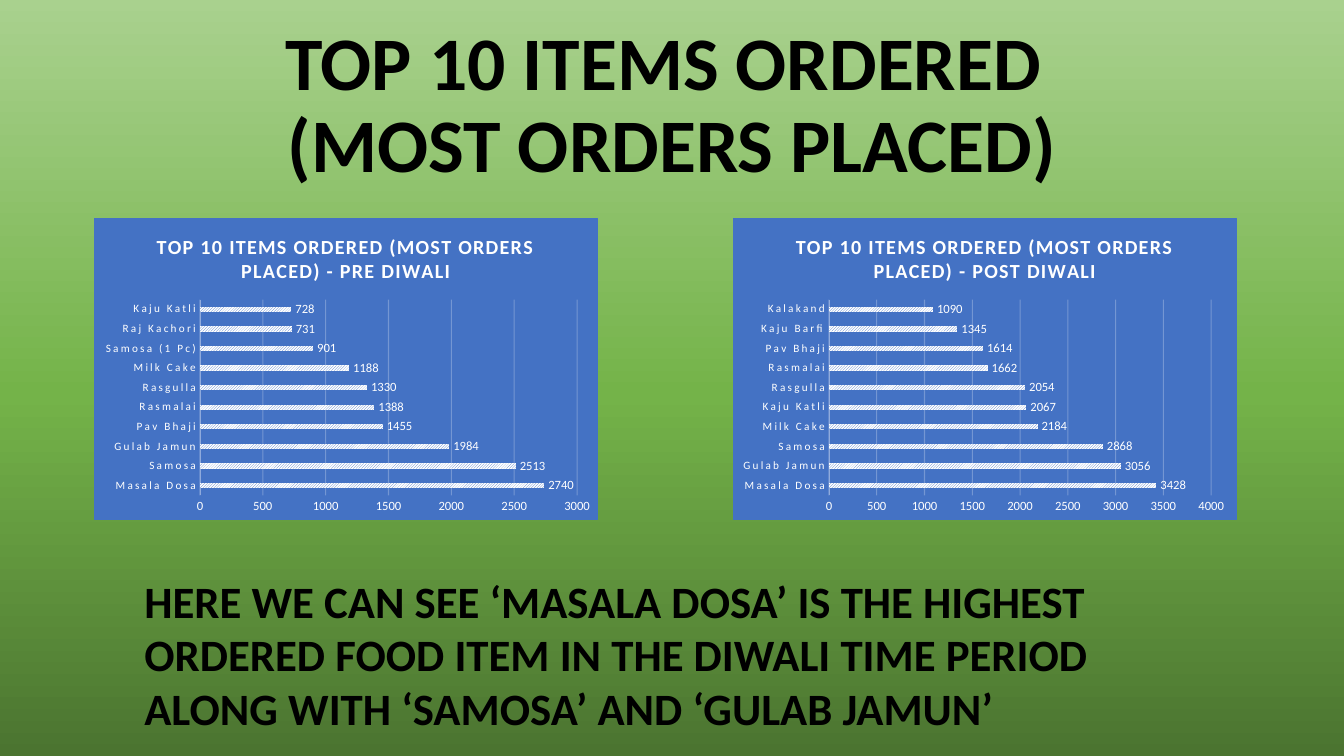
from copy import deepcopy
from dataclasses import dataclass

from lxml.etree import SubElement
from pptx import Presentation
from pptx.chart.chart import Chart
from pptx.chart.data import CategoryChartData
from pptx.dml.color import RGBColor
from pptx.dml.line import LineFormat
from pptx.enum.chart import XL_CHART_TYPE, XL_LABEL_POSITION, XL_TICK_MARK
from pptx.enum.dml import MSO_PATTERN
from pptx.enum.text import MSO_ANCHOR, MSO_AUTO_SIZE, PP_ALIGN
from pptx.oxml import parse_xml
from pptx.oxml.ns import nsdecls, qn
from pptx.slide import Slide
from pptx.text.text import Font, TextFrame
from pptx.util import Pt


@dataclass(frozen=True)
class Theme:
    face: str = "Calibri"
    ink: str = "000000"
    light: str = "FFFFFF"
    panel: str = "4472C4"
    axis: str = "8FAADC"
    fade: tuple[tuple[float, str], ...] = (
        (0, "4B7430"), (0.48, "74B349"), (1, "A9D18E"))
    head: float = 54
    body: float = 32
    label: float = 14.4
    value: float = 9
    item: float = 8


@dataclass(frozen=True)
class Panel:
    left: float
    title: str
    items: dict[str, int]
    limit: int
    plot: tuple[float, float, float, float]


THEME = Theme()
TOP, WIDTH, HEIGHT = 155.5, 360, 216

PANELS = (
    Panel(67, "TOP 10 ITEMS ORDERED (MOST ORDERS PLACED) - PRE DIWALI", {
        "Masala Dosa": 2740, "Samosa": 2513, "Gulab Jamun": 1984,
        "Pav Bhaji": 1455, "Rasmalai": 1388, "Rasgulla": 1330,
        "Milk Cake": 1188, "Samosa (1 Pc)": 901, "Raj Kachori": 731,
        "Kaju Katli": 728,
    }, 3000, (0.21, 0.27, 0.75, 0.65)),
    Panel(523.5, "TOP 10 ITEMS ORDERED (MOST ORDERS PLACED) - POST DIWALI", {
        "Masala Dosa": 3428, "Gulab Jamun": 3056, "Samosa": 2868,
        "Milk Cake": 2184, "Kaju Katli": 2067, "Rasgulla": 2054,
        "Rasmalai": 1662, "Pav Bhaji": 1614, "Kaju Barfi": 1345,
        "Kalakand": 1090,
    }, 4000, (0.19, 0.27, 0.76, 0.65)),
)


def tint(code: str) -> RGBColor:
    return RGBColor.from_string(code)


def style(font: Font, size: float, color: str, bold: bool = False) -> None:
    font.name, font.size, font.bold = THEME.face, Pt(size), bold
    font.color.rgb = tint(color)


def write(frame: TextFrame, text: str, *, size: float, color: str = THEME.ink,
          align: PP_ALIGN = PP_ALIGN.LEFT, lead: float = 1.0) -> None:
    """Fill a frame with one bold paragraph."""
    para = frame.paragraphs[0]
    para.text = text
    para.alignment, para.line_spacing = align, lead
    for run in para.runs:
        style(run.font, size, color, bold=True)


def stroke(line: LineFormat, color: str, width: float) -> None:
    line.color.rgb = tint(color)
    line.width = Pt(width)


def paint(slide: Slide) -> None:
    """Give the slide its vertical three-stop gradient."""
    fill = slide.background.fill
    fill.gradient()
    fill.gradient_angle = 90
    first = slide.element.find(".//" + qn("a:gs"))
    first.addnext(deepcopy(first))
    for stop, (place, color) in zip(fill.gradient_stops, THEME.fade):
        stop.position = place
        stop.color.rgb = tint(color)


def space(chart: Chart, parent: str, tag: str, points: float) -> None:
    """Set letter spacing on the text properties below a chart part."""
    for node in chart.element.find(".//" + qn(parent)).iter(qn(tag)):
        node.set("spc", str(int(points * 100)))


def frame_plot(chart: Chart, plot: tuple[float, float, float, float]) -> None:
    """Fix the inner plot area and fill the chart's background."""
    area = chart.element.find(".//" + qn("c:plotArea"))
    for old in area.findall(qn("c:layout")):
        area.remove(old)
    sizes = "".join(f'<c:{key} val="{part}"/>'
                    for key, part in zip("xywh", plot))
    area.insert(0, parse_xml(
        f'<c:layout {nsdecls("c")}><c:manualLayout>'
        '<c:layoutTarget val="inner"/><c:xMode val="edge"/>'
        f'<c:yMode val="edge"/>{sizes}</c:manualLayout></c:layout>'))
    solid = f'<a:solidFill><a:srgbClr val="{THEME.panel}"/></a:solidFill>'
    chart.element.find(qn("c:chart")).addnext(parse_xml(
        f'<c:spPr {nsdecls("c", "a")}>{solid}'
        f'<a:ln w="{Pt(0.75)}">{solid}</a:ln></c:spPr>'))


def set_axes(chart: Chart, limit: int) -> None:
    cats, vals = chart.category_axis, chart.value_axis
    for axis, size in ((cats, THEME.item), (vals, THEME.value)):
        axis.major_tick_mark = axis.minor_tick_mark = XL_TICK_MARK.NONE
        style(axis.tick_labels.font, size, THEME.light)
    stroke(cats.format.line, THEME.axis, 0.25)
    space(chart, "c:catAx", "a:defRPr", 1.5)
    vals.minimum_scale, vals.maximum_scale = 0, limit
    vals.major_unit = 500
    vals.format.line.fill.background()
    vals.has_major_gridlines = True
    stroke(vals.major_gridlines.format.line, THEME.light, 0.75)
    grid = chart.element.find(".//" + qn("c:majorGridlines"))
    SubElement(grid.find(".//" + qn("a:srgbClr")), qn("a:alpha"), val="25000")


def set_bars(chart: Chart) -> None:
    plot = chart.plots[0]
    plot.gap_width, plot.overlap = 269, -20
    plot.vary_by_categories = False
    bars = plot.series[0]
    fill = bars.format.fill
    fill.patterned()
    fill.pattern = MSO_PATTERN.LIGHT_UPWARD_DIAGONAL
    fill.fore_color.rgb = tint(THEME.panel)
    fill.back_color.rgb = tint(THEME.light)
    labels = bars.data_labels
    labels.show_value = True
    labels.position = XL_LABEL_POSITION.OUTSIDE_END
    style(labels.font, THEME.value, THEME.light)


def add_panel(slide: Slide, panel: Panel) -> None:
    data = CategoryChartData()
    data.categories = list(panel.items)
    data.add_series("Series 1", list(panel.items.values()))
    chart = slide.shapes.add_chart(
        XL_CHART_TYPE.BAR_CLUSTERED, Pt(panel.left), Pt(TOP), Pt(WIDTH),
        Pt(HEIGHT), data).chart
    style(chart.font, 10, THEME.ink)
    chart.has_legend = False
    chart.has_title = True
    write(chart.chart_title.text_frame, panel.title, size=THEME.label,
          color=THEME.light, align=PP_ALIGN.CENTER)
    chart.chart_title.include_in_layout = False
    space(chart, "c:title", "a:rPr", 1)
    set_axes(chart, panel.limit)
    set_bars(chart)
    frame_plot(chart, panel.plot)


def main() -> None:
    deck = Presentation()
    deck.slide_width, deck.slide_height = Pt(960), Pt(540)
    slide = deck.slides.add_slide(deck.slide_layouts.get_by_name("Title Only"))
    paint(slide)

    title = slide.shapes.title
    title.left, title.top = Pt(120), Pt(42.5)
    title.width, title.height = Pt(720), Pt(96)
    frame = title.text_frame
    frame.auto_size = MSO_AUTO_SIZE.NONE
    frame.vertical_anchor = MSO_ANCHOR.BOTTOM
    write(frame, "TOP 10 ITEMS ORDERED \v(MOST ORDERS PLACED)",
          size=THEME.head, align=PP_ALIGN.CENTER, lead=0.9)

    note = slide.shapes.add_textbox(Pt(96), Pt(406), Pt(744), Pt(124))
    note.text_frame.word_wrap = True
    note.text_frame.auto_size = MSO_AUTO_SIZE.SHAPE_TO_FIT_TEXT
    write(note.text_frame,
          "HERE WE CAN SEE ‘MASALA DOSA’ IS THE HIGHEST ORDERED FOOD ITEM IN "
          "THE DIWALI TIME PERIOD ALONG WITH ‘SAMOSA’ AND ‘GULAB JAMUN’",
          size=THEME.body)

    for panel in PANELS:
        add_panel(slide, panel)
    deck.save("out.pptx")


if __name__ == "__main__":
    main()
